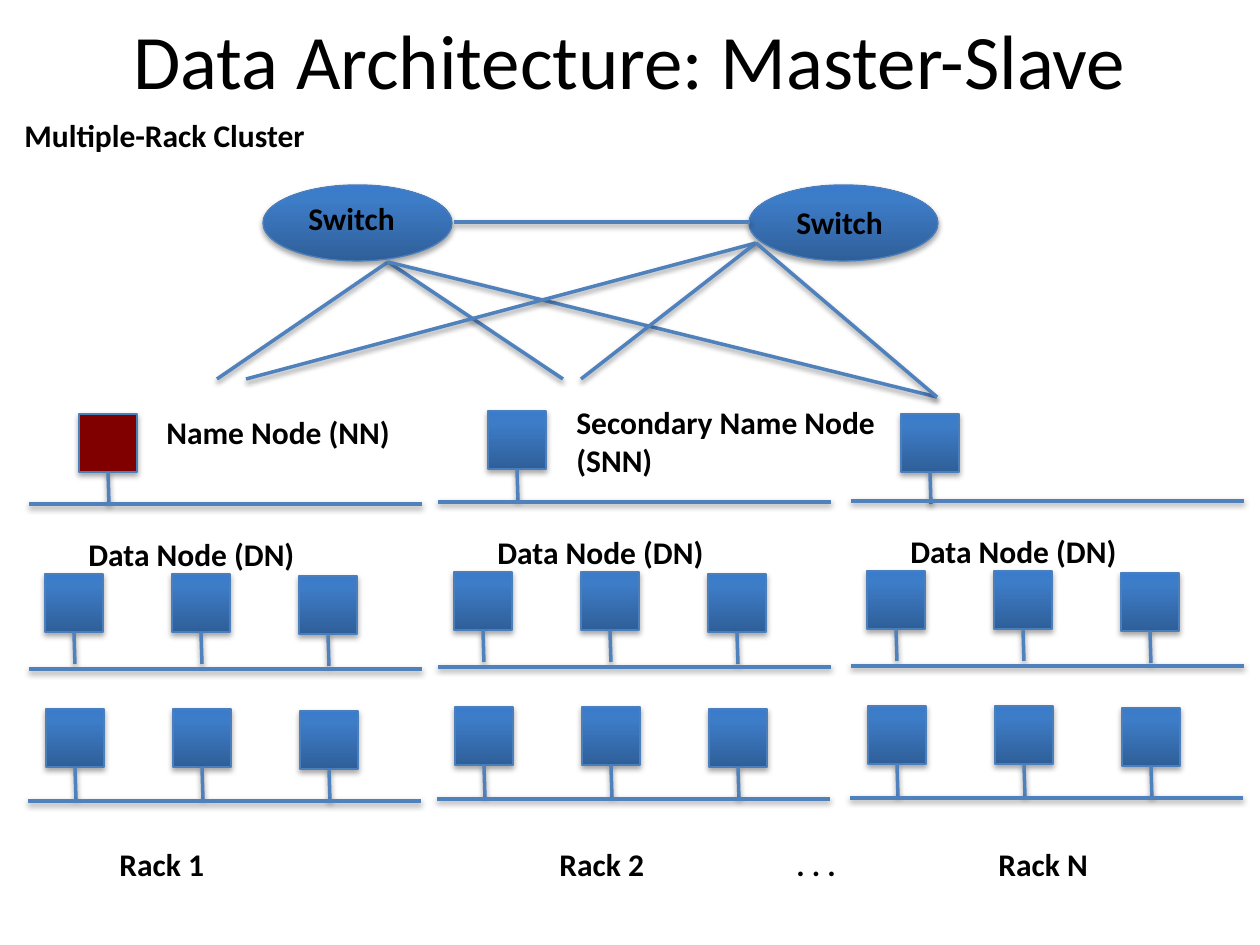
from copy import deepcopy
from pptx import Presentation
from pptx.dml.color import RGBColor
from pptx.enum.shapes import MSO_CONNECTOR, MSO_SHAPE
from pptx.enum.text import MSO_ANCHOR, MSO_AUTO_SIZE, PP_ALIGN
from pptx.oxml import parse_xml
from pptx.oxml.ns import nsdecls, qn
from pptx.util import Pt

BLACK = RGBColor(0x00, 0x00, 0x00)
RED = RGBColor(0x80, 0x00, 0x00)
EDGE = RGBColor(0x4B, 0x7E, 0xBC)
WIRE = RGBColor(0x4F, 0x81, 0xBD)
DEEP = RGBColor(0x2F, 0x5F, 0x99)
MID = RGBColor(0x3D, 0x7C, 0xC7)
LIGHT = RGBColor(0x3A, 0x7C, 0xCB)
STOPS = [(0, DEEP), (0.8, MID), (1, LIGHT)]

SCALE = 914400 / 126
NODE = 58
PITCH = 127

TITLE = "Data Architecture: Master-Slave"
LABELS = [
    ("Multiple-Rack Cluster", 12, 110, 319, 50),
    ("Name Node (NN)", 154, 407, 265, 35),
    ("Secondary Name Node (SNN)", 564, 397, 404, 89),
    ("Rack 1", 107, 839, 134, 50),
    ("Rack 2", 547, 839, 134, 50),
    (". . .", 784, 839, 84, 50),
    ("Rack N", 986, 839, 134, 50),
]
SWITCHES = [(263, 185, 296, 193, 122), (749, 185, 784, 197, 134)]
LINKS = [
    ((388, 262), [(217, 379), (563, 379), (937, 397)]),
    ((756, 243), [(246, 379), (581, 379), (937, 397)]),
    ((454, 222), [(750, 222)]),
]
RACKS = [(29, 504, 414, RED), (438, 502, 411, None), (851, 501, 414, None)]
BARS = [(0, 0), (0, 165), (-1, 297)]
ROWS = [(16, 70), (17, 205)]

deck = Presentation()
deck.slide_width = round(1260 * SCALE)
deck.slide_height = round(945 * SCALE)
slide = deck.slides.add_slide(deck.slide_layouts[6])


def px(*vals):
    return [round(v * SCALE) for v in vals]


def shade(item, dist, alpha):
    props = item._element.spPr
    for old in props.findall(qn("a:effectLst")):
        props.remove(old)
    props.append(parse_xml(
        f'<a:effectLst {nsdecls("a")}><a:outerShdw blurRad="40000" dist="{dist}" '
        f'dir="5400000" rotWithShape="0"><a:srgbClr val="000000">'
        f'<a:alpha val="{alpha}"/></a:srgbClr></a:outerShdw></a:effectLst>'))


def wire(start, end):
    line = slide.shapes.add_connector(MSO_CONNECTOR.STRAIGHT, *px(*start, *end))
    line.line.color.rgb = WIRE
    line.line.width = Pt(2)
    shade(line, 20000, 38000)


def block(kind, x, y, wide, high, color=None):
    shape = slide.shapes.add_shape(kind, *px(x, y, wide, high))
    if color is not None:
        shape.fill.solid()
        shape.fill.fore_color.rgb = color
    else:
        shape.fill.gradient()
        shape.fill.gradient_angle = 90
        group = shape._element.spPr.find(".//" + qn("a:gsLst"))
        group.append(deepcopy(group[-1]))
        for stop, (pos, tone) in zip(shape.fill.gradient_stops, STOPS):
            stop.position = pos
            stop.color.rgb = tone
    shape.line.color.rgb = EDGE
    shape.line.width = Pt(0.75)
    shade(shape, 23000, 35000)


def label(text, x, y, wide, high, size=18, bold=True):
    box = slide.shapes.add_textbox(*px(x, y, wide, high))
    frame = box.text_frame
    frame.word_wrap = True
    run = frame.paragraphs[0].add_run()
    run.text = text
    run.font.name = "Calibri"
    run.font.size = Pt(size)
    run.font.bold = bold
    run.font.color.rgb = BLACK
    frame.auto_size = MSO_AUTO_SIZE.SHAPE_TO_FIT_TEXT
    return frame


def node(x, y, color=None):
    base = y + NODE
    block(MSO_SHAPE.RECTANGLE, x, y, NODE, NODE, color)
    wire((x + 29, base), (x + 30, base + 32))


head = label(TITLE, 63, -20, 1134, 157, 44, False)
head.auto_size = MSO_AUTO_SIZE.NONE
head.vertical_anchor = MSO_ANCHOR.MIDDLE
head.paragraphs[0].alignment = PP_ALIGN.CENTER

for x, y, left, top, wide in SWITCHES:
    block(MSO_SHAPE.OVAL, x, y, 189, 76)
    label("Switch", left, top, wide, 50)

for start, ends in LINKS:
    for end in ends:
        wire(start, end)

for x, y, top, color in RACKS:
    node(x + 50, top, color)
    for dx, dy in ROWS:
        for col in range(3):
            node(x + dx + col * PITCH, y + dy + (2 if col == 2 else 0))
    for dx, dy in BARS:
        wire((x + dx, y + dy), (x + dx + 393, y + dy))
    label("Data Node (DN)", x + 47, y + 25, 265, 35)

for item in LABELS:
    label(*item)

deck.save("out.pptx")
